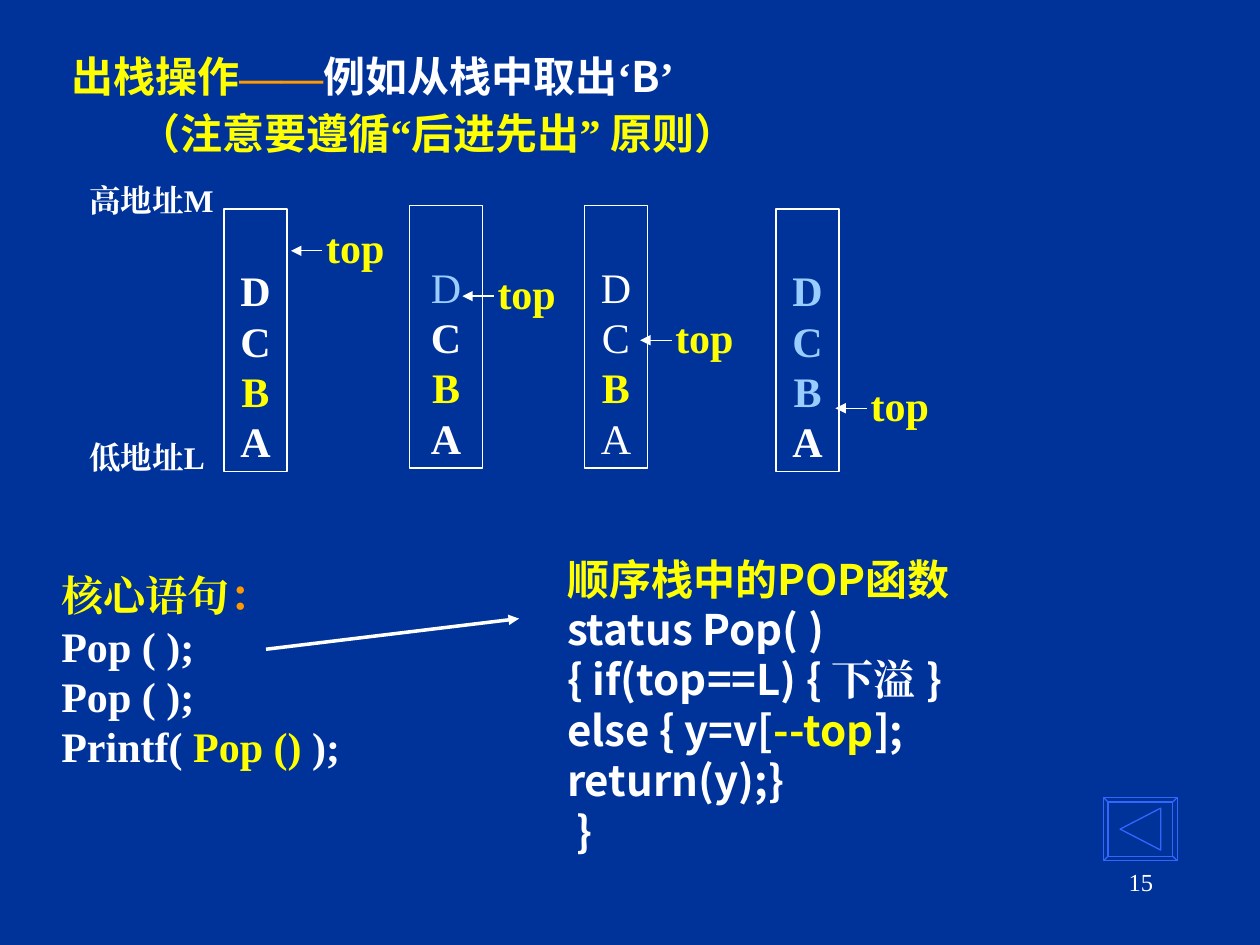
from dataclasses import dataclass
from lxml.etree import SubElement
from pptx import Presentation
from pptx.dml.color import RGBColor
from pptx.enum.shapes import MSO_CONNECTOR as Connector, MSO_SHAPE as Shape
from pptx.enum.text import MSO_ANCHOR as Anchor, MSO_AUTO_SIZE as AutoSize, PP_ALIGN as Align
from pptx.oxml.ns import qn
from pptx.util import Pt


@dataclass(frozen=True)
class Theme:
    back: str = "003399"
    white: str = "FFFFFF"
    yellow: str = "FFFF00"
    orange: str = "FF9900"
    popped: str = "99CCFF"
    button: str = "3366FF"
    serif: str = "Times New Roman"
    sans: str = "Noto Sans CJK SC"
    body: int = 24
    label: int = 18
    number: int = 14
    spacing: float = 1.2
    hairline: float = 0.75


THEME = Theme()


def style_face(font, color, face):
    font.color.rgb = RGBColor.from_string(color)
    font.name = face
    SubElement(font._rPr, qn("a:ea"), typeface=face)


def write_paragraph(para, spans, size, bold=True, align=Align.LEFT, pitch=None):
    para.alignment = align
    para.line_spacing = Pt(pitch or size * THEME.spacing)
    para.space_before = para.space_after = Pt(0)
    para.font.size = Pt(size)
    para.font.bold = bold
    for text, color, face in spans:
        run = para.add_run()
        run.text = text
        style_face(para.font if len(spans) == 1 else run.font, color, face)


def write_lines(frame, lines, size=THEME.body, **options):
    for index, spans in enumerate(lines):
        para = frame.add_paragraph() if index else frame.paragraphs[0]
        write_paragraph(para, spans, size, **options)


def add_text(page, left, top, width, height, lines, wrap=True, **options):
    box = page.shapes.add_textbox(Pt(left), Pt(top), Pt(width), Pt(height))
    box.text_frame.word_wrap = wrap
    write_lines(box.text_frame, lines, **options)


def add_arrow(page, start, end, weight=THEME.hairline):
    arrow = page.shapes.add_connector(Connector.STRAIGHT, *map(Pt, start + end))
    arrow.line.color.rgb = RGBColor.from_string(THEME.white)
    arrow.line.width = Pt(weight)
    SubElement(arrow.line._get_or_add_ln(), qn("a:tailEnd"), type="triangle")
    SubElement(arrow._element.spPr, qn("a:effectLst"))


def add_stack(page, left, top, width, colors, bold_flags, tip, pointer):
    box = page.shapes.add_shape(Shape.RECTANGLE, Pt(left), Pt(top), Pt(width), Pt(150))
    box.shadow.inherit = False
    box.fill.background()
    box.line.color.rgb = RGBColor.from_string(THEME.white)
    box.line.width = Pt(THEME.hairline)
    frame = box.text_frame
    frame.word_wrap = False
    frame.vertical_anchor = Anchor.BOTTOM
    frame.margin_bottom = Pt(3)
    write_lines(frame, [[(letter, color, THEME.serif)] for letter, color in zip("DCBA", colors)],
                align=Align.CENTER)
    for para, bold in zip(frame.paragraphs, bold_flags):
        para.font.bold = bold
    add_arrow(page, (tip + 18, pointer), (tip, pointer))
    add_text(page, tip + 13, pointer - 20, 48, 36, [[("top", THEME.yellow, THEME.serif)]], wrap=False)


def add_title(page):
    title = page.shapes.title
    title.left, title.top, title.width, title.height = Pt(28), Pt(21), Pt(612), Pt(73)
    frame = title.text_frame
    frame.auto_size = AutoSize.NONE
    frame.word_wrap = True
    frame.vertical_anchor = Anchor.MIDDLE
    white, yellow, serif, sans = THEME.white, THEME.yellow, THEME.serif, THEME.sans
    write_lines(frame, [
        [("出栈操作", yellow, sans), ("——", THEME.orange, serif), ("例如从栈中取出", white, sans),
         ("‘", white, serif), ("B", white, sans), ("’", white, serif)],
        [("（注意要遵循", yellow, sans), ("“", yellow, serif), ("后进先出", yellow, sans),
         ("”", yellow, serif), (" 原则）", yellow, sans)],
    ], pitch=33)
    for para, indent in zip(frame.paragraphs, (5.5, 44)):
        para._p.get_or_add_pPr().set("marL", str(Pt(indent)))


def add_back_button(page, left, top, width, height, bevel):
    right, bottom = left + width, top + height
    outer = [(left, top), (right, top), (right, bottom), (left, bottom)]
    inner = [(left + bevel, top + bevel), (right - bevel, top + bevel),
             (right - bevel, bottom - bevel), (left + bevel, bottom - bevel)]
    middle = top + height / 2
    triangle = [(right - 9.4, middle - 12), (left + 9.4, middle), (right - 9.4, middle + 12)]
    contours = [outer, inner, triangle, *zip(outer, inner)]
    builder = page.shapes.build_freeform(*map(Pt, outer[0]))
    for index, contour in enumerate(contours):
        points = [(Pt(x), Pt(y)) for x, y in contour]
        if index:
            builder.move_to(*points[0])
        builder.add_line_segments(points[1:], close=len(points) > 2)
    button = builder.convert_to_shape()
    button.shadow.inherit = False
    button.fill.background()
    button.line.color.rgb = RGBColor.from_string(THEME.button)
    button.line.width = Pt(THEME.hairline)


def main():
    deck = Presentation()
    deck.slide_width, deck.slide_height = Pt(720), Pt(540)
    page = deck.slides.add_slide(deck.slide_layouts[5])
    page.background.fill.solid()
    page.background.fill.fore_color.rgb = RGBColor.from_string(THEME.back)
    white, yellow, popped = THEME.white, THEME.yellow, THEME.popped
    serif, sans = THEME.serif, THEME.sans

    add_title(page)
    for text, top in (("高地址M", 100), ("低地址L", 247)):
        add_text(page, 44, top, 90, 29, [[(text, white, serif)]], wrap=False, size=THEME.label)

    all_bold = (True,) * 4
    stacks = [
        (128, 119.5, 36, (white, white, yellow, white), all_bold, 166.3, 143.3),
        (234, 117.4, 41.8, (popped, white, yellow, white), (False, True, True, True), 264.2, 169.2),
        (334, 117.4, 36, (white, white, yellow, white), (False, False, True, False), 365.8, 194.4),
        (443.5, 119.5, 36, (popped, popped, popped, white), all_bold, 477.4, 233.3),
    ]
    for stack in stacks:
        add_stack(page, *stack)

    add_text(page, 28, 322, 204.5, 151, [
        [("核心语句", yellow, serif), ("：", THEME.orange, serif)],
        [("Pop ( );", white, serif)],
        [("Pop ( );", white, serif)],
        [("Printf( ", white, serif), ("Pop ()", yellow, serif), (" );", white, serif)],
    ])
    add_text(page, 317, 312.5, 258, 180, [
        [("顺序栈中的POP函数", yellow, sans)],
        [("status Pop( )", white, sans)],
        [("{ if(top==L) { ", white, sans), ("下溢 ", white, serif), ("}", white, sans)],
        [("else { y=v[", white, sans), ("--top", yellow, sans), ("];", white, sans)],
        [("return(y);}", white, sans)],
        [(" }", white, sans)],
    ])
    add_arrow(page, (152, 371), (296.6, 353.5), weight=2)
    add_back_button(page, 630.7, 455.8, 42, 36, 2.5)
    add_text(page, 516, 492, 150, 36, [[("15", white, serif)]],
             size=THEME.number, bold=False, align=Align.RIGHT)
    deck.save("out.pptx")


if __name__ == "__main__":
    main()
